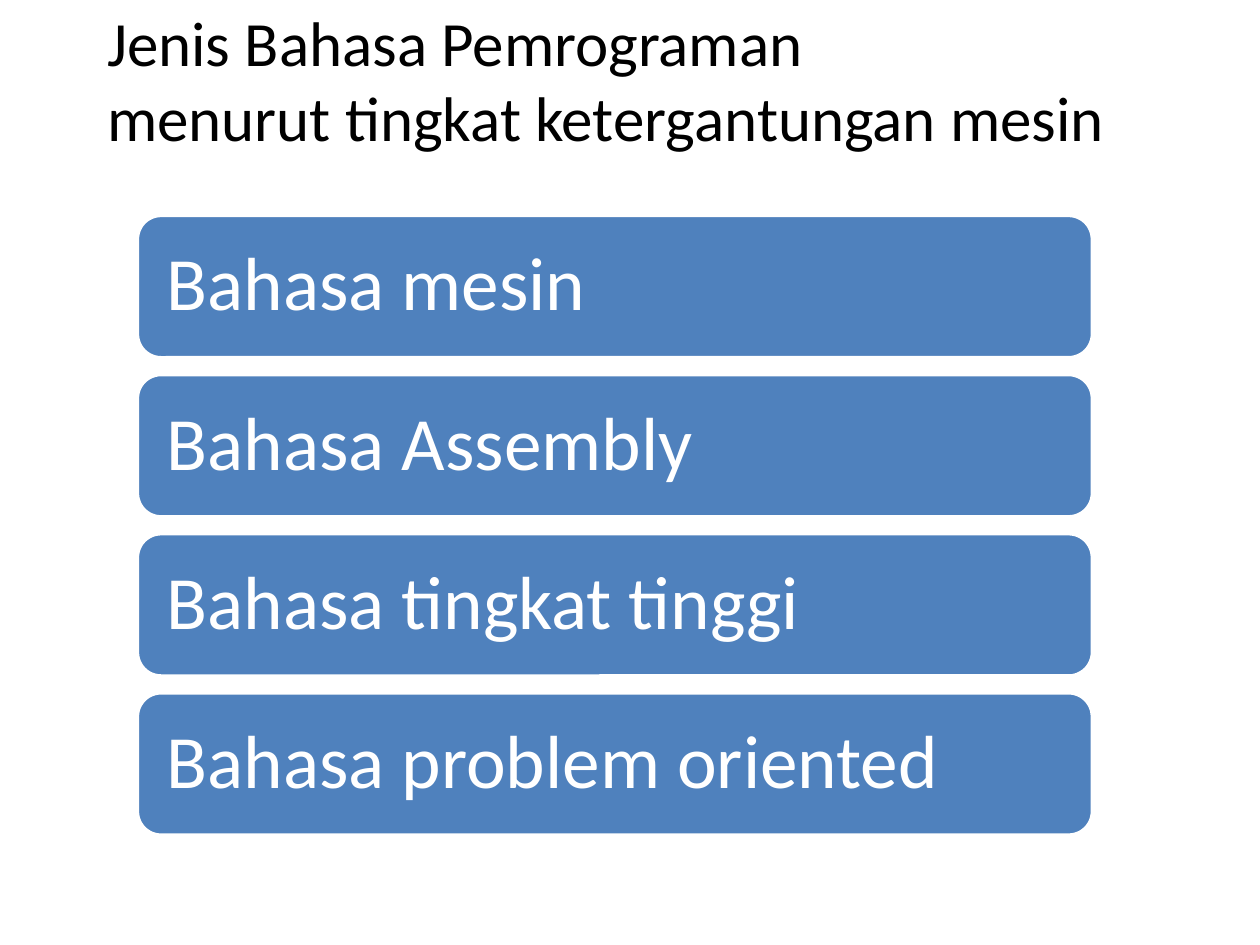
"""Build a slide listing programming language types by machine dependence."""
from dataclasses import dataclass

from pptx import Presentation
from pptx.dml.color import RGBColor
from pptx.enum.shapes import MSO_SHAPE as Shape
from pptx.enum.text import MSO_ANCHOR as Anchor, PP_ALIGN as Align
from pptx.util import Inches, Pt

TITLE = ["Jenis Bahasa Pemrograman", "menurut tingkat ketergantungan mesin"]
LANGUAGES = [
    "Bahasa mesin",
    "Bahasa Assembly",
    "Bahasa tingkat tinggi",
    "Bahasa problem oriented",
]


@dataclass(frozen=True)
class Theme:
    font: str = "Calibri"
    title_size: int = 36
    bar_size: int = 43
    dark: RGBColor = RGBColor(0x00, 0x00, 0x00)
    light: RGBColor = RGBColor(0xFF, 0xFF, 0xFF)
    bar: RGBColor = RGBColor(0x4F, 0x81, 0xBD)


THEME = Theme()
BAR_LEFT, BAR_TOP, BAR_WIDTH, BAR_HEIGHT = 1.09, 1.71, 7.58, 1.13
BAR_PITCH = 1.263
BAR_INSET = 0.18


def add_run(p, text, size, color):
    r = p.add_run()
    r.text = text
    r.font.name = THEME.font
    r.font.size = Pt(size)
    r.font.color.rgb = color


def add_title(slide):
    sp = slide.shapes.title
    sp.left, sp.top = Inches(0.75), Inches(0)
    sp.width, sp.height = Inches(8.5), Inches(1.25)
    tf = sp.text_frame
    tf.vertical_anchor = Anchor.MIDDLE
    p = tf.paragraphs[0]
    p.alignment = Align.LEFT
    for i, line in enumerate(TITLE):
        if i:
            p.add_line_break()
        add_run(p, line, THEME.title_size, THEME.dark)


def add_bar(slide, index, text):
    sp = slide.shapes.add_shape(
        Shape.ROUNDED_RECTANGLE,
        Inches(BAR_LEFT), Inches(BAR_TOP + index * BAR_PITCH),
        Inches(BAR_WIDTH), Inches(BAR_HEIGHT),
    )
    sp.shadow.inherit = False
    sp.fill.solid()
    sp.fill.fore_color.rgb = THEME.bar
    sp.line.color.rgb = THEME.light
    sp.line.width = Pt(2)
    tf = sp.text_frame
    tf.word_wrap = True
    tf.vertical_anchor = Anchor.MIDDLE
    tf.margin_left = tf.margin_right = Inches(BAR_INSET)
    tf.margin_top = tf.margin_bottom = Inches(BAR_INSET)
    p = tf.paragraphs[0]
    p.alignment = Align.LEFT
    p.line_spacing = 0.9
    add_run(p, text, THEME.bar_size, THEME.light)


def main():
    prs = Presentation()
    prs.slide_width, prs.slide_height = Inches(10), Inches(7.5)
    slide = prs.slides.add_slide(prs.slide_layouts[5])
    add_title(slide)
    for i, language in enumerate(LANGUAGES):
        add_bar(slide, i, language)
    prs.save("out.pptx")


if __name__ == "__main__":
    main()
